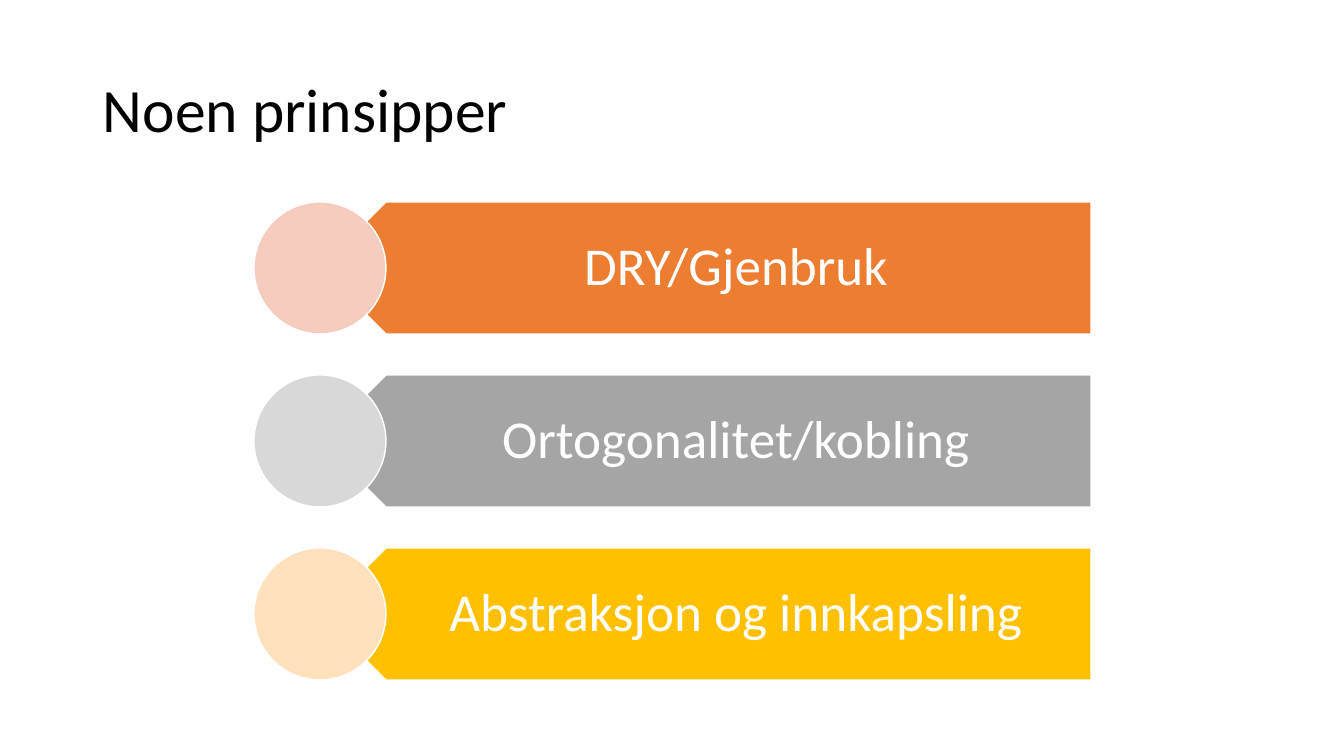
"""Build a slide listing three programming principles as arrow bars with circles."""
from pptx import Presentation
from pptx.dml.color import RGBColor
from pptx.enum.shapes import MSO_SHAPE
from pptx.enum.text import MSO_ANCHOR, PP_ALIGN
from pptx.util import Pt

PENTAGON, OVAL = MSO_SHAPE.PENTAGON, MSO_SHAPE.OVAL
MIDDLE = MSO_ANCHOR.MIDDLE
LEFT, CENTER = PP_ALIGN.LEFT, PP_ALIGN.CENTER
PX = 914400 / 100.8
COLORS = {
    "black": "000000", "white": "FFFFFF",
    "orange": "ED7D31", "pale orange": "F6CCBE",
    "gray": "A5A5A5", "pale gray": "D8D8D8",
    "gold": "FFC000", "pale gold": "FFE2BD",
}
PRINCIPLES = [
    ("DRY/Gjenbruk", "orange"),
    ("Ortogonalitet/kobling", "gray"),
    ("Abstraksjon og innkapsling", "gold"),
]
FIRST_TOP, ROW_STEP, ROW_HEIGHT = 202, 173, 132


def write(box, text, size, color, align, margins):
    frame = box.text_frame
    frame.word_wrap = True
    frame.vertical_anchor = MIDDLE
    frame.margin_left, frame.margin_top, frame.margin_right, frame.margin_bottom = [
        round(margin * PX) for margin in margins]
    para = frame.paragraphs[0]
    para.alignment = align
    para.line_spacing = 0.9
    span = para.add_run()
    span.text = text
    span.font.name = "Calibri"
    span.font.size = Pt(size)
    span.font.color.rgb = RGBColor.from_string(COLORS[color])


def draw(kind, left, top, width, height, color):
    shape = page.shapes.add_shape(kind, *[round(n * PX) for n in (left, top, width, height)])
    shape.shadow.inherit = False
    shape.fill.solid()
    shape.fill.fore_color.rgb = RGBColor.from_string(COLORS[color])
    shape.line.color.rgb = RGBColor.from_string(COLORS["white"])
    shape.line.width = Pt(1)
    return shape


deck = Presentation()
deck.slide_width, deck.slide_height = round(1344 * PX), round(756 * PX)
page = deck.slides.add_slide(deck.slide_layouts[5])

title = page.shapes.title
title.left, title.top, title.width, title.height = [round(n * PX) for n in (93, 40, 1159, 146)]
write(title, "Noen prinsipper", 44, "black", LEFT, (10, 5, 10, 5))

for row, (principle, color) in enumerate(PRINCIPLES):
    top = FIRST_TOP + row * ROW_STEP
    bar = draw(PENTAGON, 320, top, 771, ROW_HEIGHT, color)
    bar.rotation = 180
    label = page.shapes.add_textbox(*[round(n * PX) for n in (353, top, 738, ROW_HEIGHT)])
    write(label, principle, 38, "white", CENTER, (58, 16, 30, 16))
    draw(OVAL, 254, top, ROW_HEIGHT, ROW_HEIGHT, f"pale {color}")

deck.save("out.pptx")
